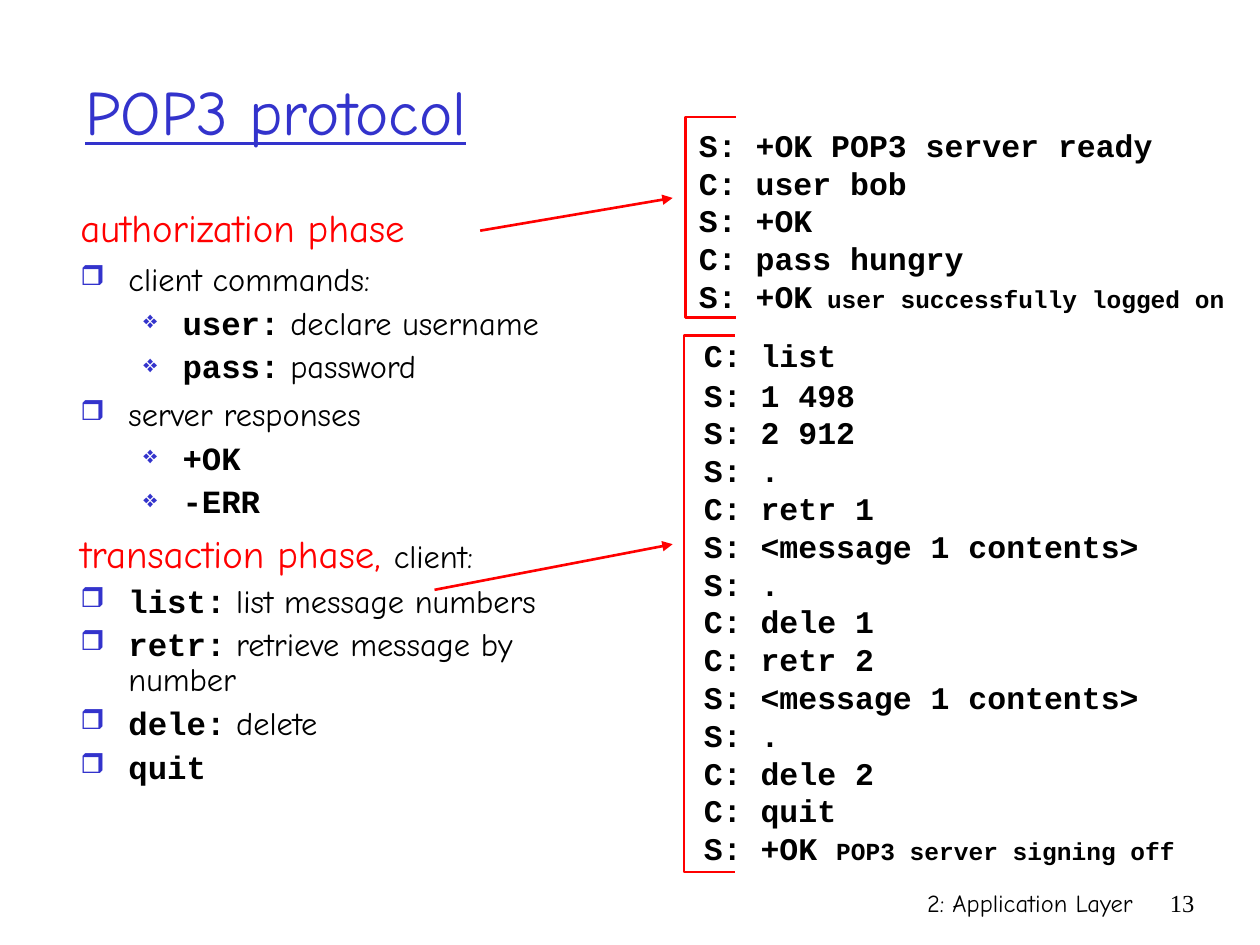
from lxml import etree
from pptx import Presentation
from pptx import util as u
from pptx.dml.color import RGBColor
from pptx.enum import shapes, text
from pptx.oxml import ns

BLUE = RGBColor(0x33, 0x33, 0xCC)
RED = RGBColor(0xFF, 0x00, 0x00)
BLACK = RGBColor(0x00, 0x00, 0x00)

HAND, MONO, SERIF = "Comic Neue", "Courier New", "Times New Roman"

# Run styles: font attributes plus colour
STYLES = {
    "title": ({"name": HAND, "size": u.Pt(36), "underline": True}, BLUE),
    "phase": ({"name": HAND, "size": u.Pt(22.2)}, RED),
    "plain": ({"name": HAND, "size": u.Pt(18.5)}, BLACK),
    "command": ({"name": MONO, "size": u.Pt(18.5), "bold": True}, BLACK),
    "log": ({"name": MONO, "size": u.Pt(18), "bold": True}, BLACK),
    "remark": ({"name": MONO, "size": u.Pt(14), "bold": True}, BLACK),
    "footer": ({"name": HAND, "size": u.Pt(14)}, BLACK),
    "number": ({"name": SERIF, "size": u.Pt(14)}, BLACK),
}

# Paragraph kinds: level, left margin and hanging indent in cm,
# line spacing, bullet and its size in percent
KINDS = {
    "heading": (0, 0.97, 0.97, 1.0, None, None),
    "topic": (0, 0.97, 0.97, 1.0, "❒", 85),
    "item": (0, 0.97, 0.97, 0.9, "❒", 85),
    "detail": (1, 2.06, 0.79, 0.9, "❖", 75),
}

OUTLINE = [
    ("heading", [("authorization phase", "phase")]),
    ("topic", [("client commands:", "plain")]),
    ("detail", [("user:", "command"), (" declare username", "plain")]),
    ("detail", [("pass:", "command"), (" password", "plain")]),
    ("topic", [("server responses", "plain")]),
    ("detail", [("+OK", "command")]),
    ("detail", [("-ERR", "command")]),
    ("heading", [("transaction phase, ", "phase"), ("client:", "plain")]),
    ("item", [("list:", "command"), (" list message numbers", "plain")]),
    ("item", [("retr:", "command"), (" retrieve message by number", "plain")]),
    ("item", [("dele:", "command"), (" delete", "plain")]),
    ("item", [("quit", "command")]),
]

LOGIN = ["S: +OK POP3 server ready", "C: user bob", "S: +OK",
         "C: pass hungry", ("S: +OK", " user successfully logged on")]
MAILBOX = ["C: list", "S: 1 498", "S: 2 912", "S: .", "C: retr 1",
           "S: <message 1 contents>", "S: .", "C: dele 1", "C: retr 2",
           "S: <message 1 contents>", "S: .", "C: dele 2", "C: quit",
           ("S: +OK ", "POP3 server signing off")]

# Places in cm: left, top, width, height
SINGLE_LINES = [
    ("2: Application Layer", "footer", (15.04, 17.78, 8.05, 1.27), text.PP_ALIGN.RIGHT),
    ("13", "number", (23.06, 17.78, 1.27, 1.27), text.PP_ALIGN.RIGHT),
    ("POP3 protocol", "title", (1.47, 0.64, 21.59, 3.18), text.PP_ALIGN.LEFT),
]
OUTLINE_PLACE = (1.37, 3.99, 11.02, 12.9)
LOGS = [
    (LOGIN, (13.84, 2.41, 11.43, 4.06), 0),
    (MAILBOX, (13.94, 6.65, 10.2, 10.9), 1),
]
BRACKETS = [(13.82, 2.36, 1.02, 4.04), (13.79, 6.76, 1.02, 10.82)]
ARROWS = [((9.68, 4.65), (13.56, 3.99)), ((8.76, 11.89), (13.56, 10.97))]


def add_text(page, place, paragraphs):
    """Add a text box; each paragraph is a list of (wording, style)."""
    box = page.shapes.add_textbox(*(u.Cm(value) for value in place))
    frame = box.text_frame
    frame.word_wrap = True
    for index, runs in enumerate(paragraphs):
        para = frame.add_paragraph() if index else frame.paragraphs[0]
        for wording, style in runs:
            span = para.add_run()
            span.text = wording
            attributes, colour = STYLES[style]
            for name, value in attributes.items():
                setattr(span.font, name, value)
            span.font.color.rgb = colour
    return frame


def format_outline_paragraph(para, kind):
    level, margin, hanging, spacing, bullet, percent = KINDS[kind]
    para.level = level
    para.line_spacing = spacing
    para.space_before = u.Pt(5)
    properties = para._p.get_or_add_pPr()
    properties.set("marL", str(u.Cm(margin)))
    properties.set("indent", str(-u.Cm(hanging)))
    if bullet:
        colour = etree.SubElement(properties, ns.qn("a:buClr"))
        etree.SubElement(colour, ns.qn("a:srgbClr"), val=str(BLUE))
        etree.SubElement(properties, ns.qn("a:buSzPct"), val=str(percent * 1000))
        etree.SubElement(properties, ns.qn("a:buChar"), char=bullet)


def set_red_line(shape):
    shape.line.color.rgb = RED
    shape.line.width = u.Pt(1.5)


def add_bracket(page, place):
    left, top, width, height = (u.Cm(value) for value in place)
    right, bottom = left + width, top + height
    builder = page.shapes.build_freeform(right, top)
    builder.add_line_segments([(left, top), (left, bottom), (right, bottom)], close=False)
    bracket = builder.convert_to_shape()
    bracket.shadow.inherit = False
    bracket.fill.background()
    set_red_line(bracket)


def add_arrow(page, start, end):
    arrow = page.shapes.add_connector(
        shapes.MSO_CONNECTOR.STRAIGHT, *(u.Cm(value) for value in start + end))
    set_red_line(arrow)
    etree.SubElement(arrow.line._get_or_add_ln(), ns.qn("a:tailEnd"), type="triangle")
    etree.SubElement(arrow._element.spPr, ns.qn("a:effectLst"))


def main():
    deck = Presentation()
    deck.slide_width, deck.slide_height = u.Cm(25.4), u.Cm(19.05)
    page = deck.slides.add_slide(deck.slide_layouts[6])

    for wording, style, place, alignment in SINGLE_LINES:
        frame = add_text(page, place, [[(wording, style)]])
        frame.paragraphs[0].alignment = alignment
        if style == "title":
            frame.vertical_anchor = text.MSO_ANCHOR.MIDDLE

    frame = add_text(page, OUTLINE_PLACE, [runs for _, runs in OUTLINE])
    for para, (kind, _) in zip(frame.paragraphs, OUTLINE):
        format_outline_paragraph(para, kind)
    frame.paragraphs[0].space_before = u.Pt(6)

    for lines, place, first_gap in LOGS:
        paragraphs = [[(line, "log")] if isinstance(line, str)
                      else list(zip(line, ("log", "remark"))) for line in lines]
        frame = add_text(page, place, paragraphs)
        frame.paragraphs[0].space_after = u.Pt(first_gap)

    for place in BRACKETS:
        add_bracket(page, place)
    for start, end in ARROWS:
        add_arrow(page, start, end)

    deck.save("out.pptx")


if __name__ == "__main__":
    main()
